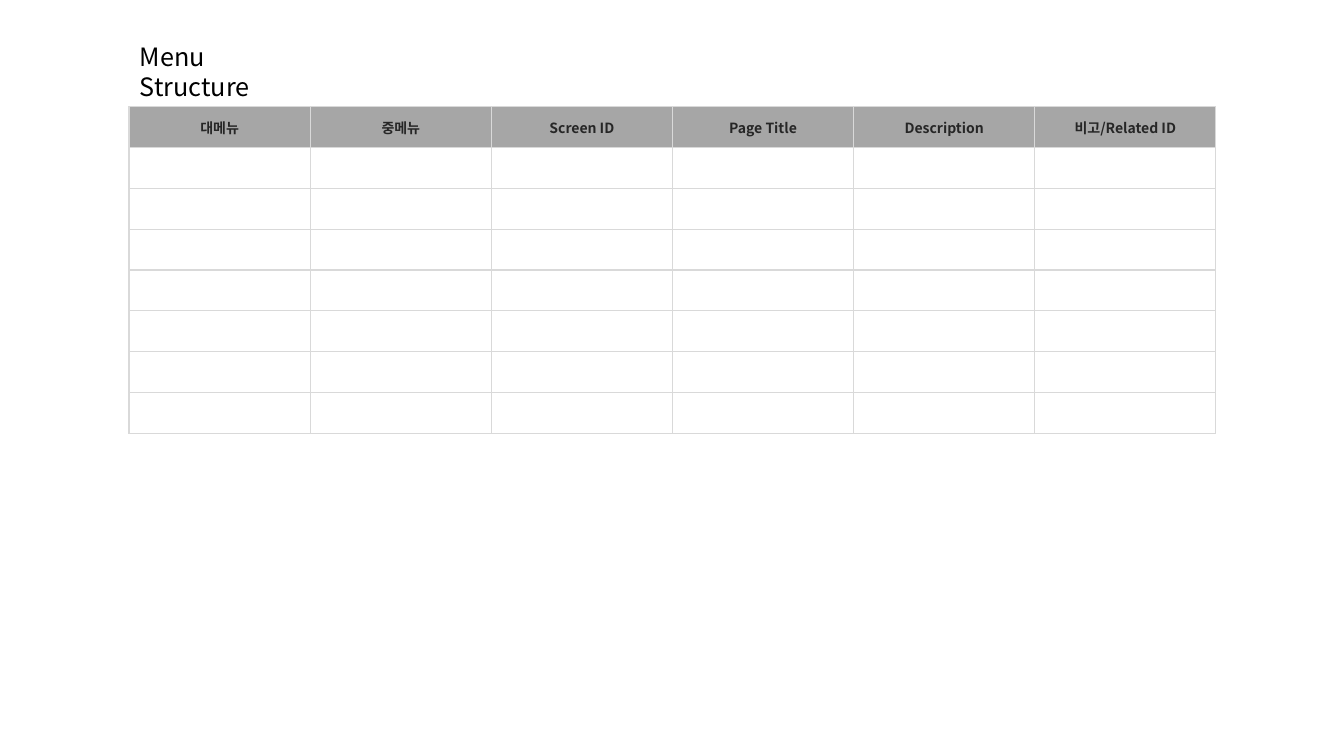
from lxml.etree import SubElement as Sub
from pptx import Presentation as Deck
from pptx.dml.color import RGBColor as Rgb
from pptx.enum.text import MSO_ANCHOR as Anchor, MSO_AUTO_SIZE as Auto, PP_ALIGN as Align
from pptx.oxml.ns import qn
from pptx.util import Inches, Pt


def tint(code):
    return Rgb.from_string(code)


class Page:
    """Holds the style and the current slide, and draws its elements."""

    face = "Noto Sans CJK KR"
    rule = "D9D9D9"
    head = "A6A6A6"

    def __init__(self, deck):
        self.slide = deck.slides.add_slide(deck.slide_layouts[6])

    def label(self, para, text, color, form):
        run = para.add_run()
        run.text = text
        for name, value in {"name": self.face, **form}.items():
            setattr(run.font, name, value)
        run.font.color.rgb = tint(color)
        Sub(run._r.get_or_add_rPr(), qn("a:ea"), typeface=self.face)

    def title(self, text, left, top, width, height):
        box = self.slide.shapes.add_textbox(*map(Inches, (left, top, width, height)))
        form = {"word_wrap": True, "auto_size": Auto.NONE, "margin_right": Inches(0.15)}
        for name, value in form.items():
            setattr(box.text_frame, name, value)
        self.label(box.text_frame.paragraphs[0], text, "000000", {"size": Pt(18)})

    def edge(self, cell):
        props = cell._tc.get_or_add_tcPr()
        for side in ("lnL", "lnR", "lnT", "lnB"):
            line = Sub(props, qn(f"a:{side}"), w=str(Pt(1)))
            Sub(Sub(line, qn("a:solidFill")), qn("a:srgbClr"), val=self.rule)

    def grid(self, heads, count, left, top, width, height):
        spot = map(Inches, (left, top, width, height))
        table = self.slide.shapes.add_table(count, len(heads), *spot).table
        table.horz_banding = False
        for cell in table.iter_cells():
            self.edge(cell)
            cell.fill.background()
            para = cell.text_frame.paragraphs[0]
            Sub(para._p, qn("a:endParaRPr"), sz="1000")
        for col, text in enumerate(heads):
            cell = table.cell(0, col)
            cell.fill.solid()
            cell.fill.fore_color.rgb = tint(self.head)
            cell.vertical_anchor = Anchor.MIDDLE
            para = cell.text_frame.paragraphs[0]
            para.alignment = Align.CENTER
            self.label(para, text, "262626", {"size": Pt(10), "bold": True})


def main():
    deck = Deck()
    deck.slide_width, deck.slide_height = Inches(13.33), Inches(7.5)
    page = Page(deck)
    page.title("Menu Structure", 1.29, 0.36, 1.97, 0.4)
    heads = ["대메뉴", "중메뉴", "Screen ID", "Page Title", "Description", "비고/Related ID"]
    page.grid(heads, 8, 1.28, 1.06, 10.78, 3.24)
    deck.save("out.pptx")


if __name__ == "__main__":
    main()
